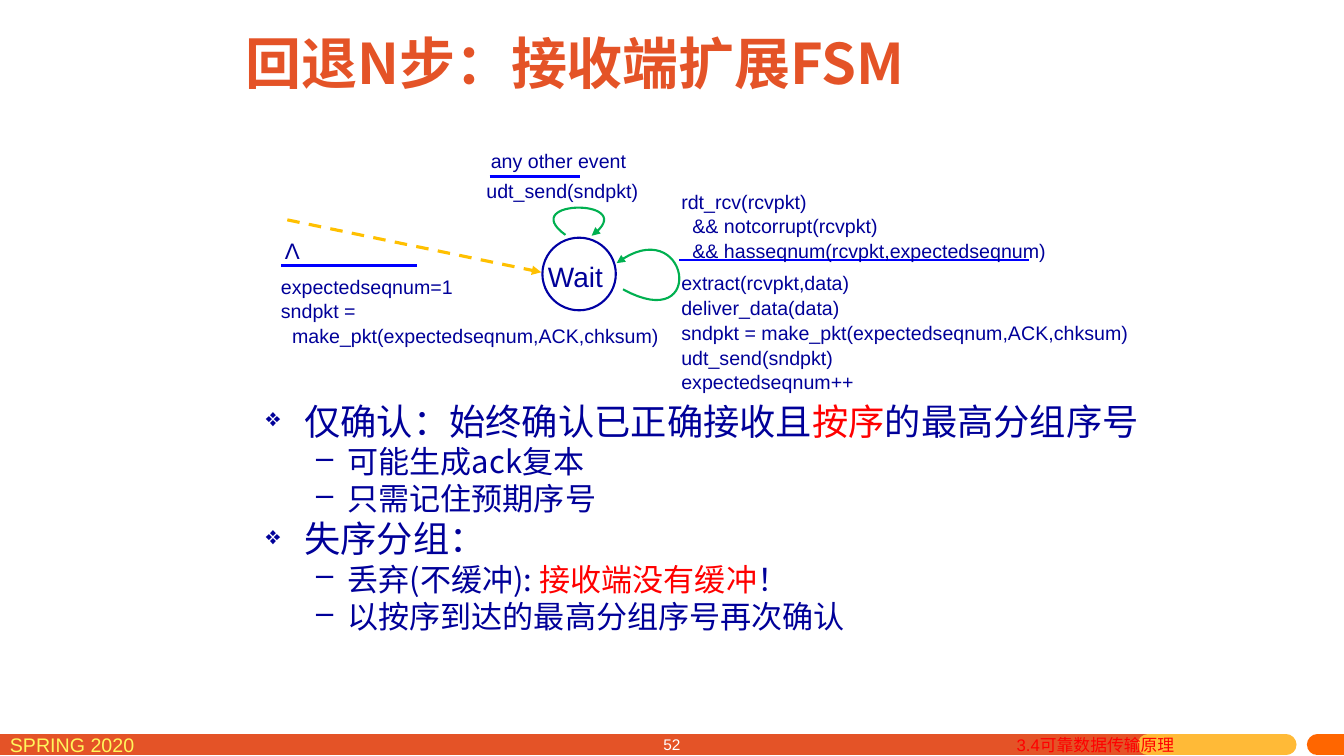
from dataclasses import dataclass

import pptx
import pptx.dml.color
import pptx.enum.dml
import pptx.enum.shapes
import pptx.enum.text
import pptx.oxml
import pptx.oxml.ns
import pptx.util
from lxml import etree

Cm, Pt = pptx.util.Cm, pptx.util.Pt
ALIGN = pptx.enum.text.PP_ALIGN
ANCHOR = pptx.enum.text.MSO_ANCHOR
NAVY, RED, ORANGE, BLUE, GREEN = "000099", "FF0000", "E45327", "0000FF", "00B050"
CJK = "Noto Sans CJK SC"
Point = tuple[float, float]


@dataclass
class Label:
    box: tuple[float, float, float, float]
    lines: list[str]
    size: float = 14
    color: str = NAVY
    font: str = "Arial"
    bold: bool = False
    align: ALIGN = ALIGN.LEFT
    anchor: ANCHOR = ANCHOR.TOP
    margins: tuple[float, float, float, float] = (0.25, 0.13, 0.25, 0.13)
    wrap: bool = True
    indented: tuple[int, ...] = ()


@dataclass
class Line:
    start: Point
    end: Point
    color: str = BLUE
    width: float = 2.25
    dashed: bool = False
    arrow: bool = False
    round_cap: bool = False


@dataclass
class Loop:
    start: Point
    control1: Point
    control2: Point
    end: Point


@dataclass
class Bullet:
    level: int
    runs: list[tuple[str, str]]


def rgb(color: str) -> pptx.dml.color.RGBColor:
    return pptx.dml.color.RGBColor.from_string(color)


def add_run(p, text: str, size: float, color: str, font: str, bold: bool = False) -> None:
    r = p.add_run()
    r.text = text
    r.font.size, r.font.name, r.font.bold = Pt(size), font, bold
    r.font.color.rgb = rgb(color)
    ea = etree.SubElement(r.font._element, pptx.oxml.ns.qn("a:ea"))
    ea.set("typeface", CJK)


def add_box(shapes, box: tuple[float, float, float, float]):
    return shapes.add_textbox(*(Cm(v) for v in box)).text_frame


def add_label(shapes, label: Label) -> None:
    tf = add_box(shapes, label.box)
    tf.word_wrap, tf.vertical_anchor = label.wrap, label.anchor
    tf.margin_left, tf.margin_top, tf.margin_right, tf.margin_bottom = map(Cm, label.margins)
    for i, line in enumerate(label.lines):
        p = tf.paragraphs[0] if i == 0 else tf.add_paragraph()
        p.alignment = label.align
        if i in label.indented:
            p._p.get_or_add_pPr().set("marL", str(Cm(0.28)))
        if len(label.lines) > 1:
            p.line_spacing = 1.05
        add_run(p, line, label.size, label.color, label.font, label.bold)


def style_line(sp, color: str, width: float, arrow: bool) -> None:
    sp.line.color.rgb = rgb(color)
    sp.line.width = Pt(width)
    if arrow:
        tail = etree.SubElement(sp.line._get_or_add_ln(), pptx.oxml.ns.qn("a:tailEnd"))
        tail.set("type", "triangle")


def add_line(shapes, line: Line) -> None:
    ends = (Cm(v) for v in line.start + line.end)
    sp = shapes.add_connector(pptx.enum.shapes.MSO_CONNECTOR.STRAIGHT, *ends)
    if line.dashed:
        sp.line.dash_style = pptx.enum.dml.MSO_LINE.DASH
    style_line(sp, line.color, line.width, line.arrow)
    if line.round_cap:
        sp.line._get_or_add_ln().set("cap", "rnd")
    etree.SubElement(sp._element.spPr, pptx.oxml.ns.qn("a:effectLst"))


def add_loop(shapes, loop: Loop, steps: int = 32) -> None:
    points = []
    for i in range(steps + 1):
        t = i / steps
        weights = ((1 - t) ** 3, 3 * t * (1 - t) ** 2, 3 * t * t * (1 - t), t ** 3)
        knots = (loop.start, loop.control1, loop.control2, loop.end)
        points.append(tuple(Cm(sum(w * k[axis] for w, k in zip(weights, knots)))
                            for axis in (0, 1)))
    builder = shapes.build_freeform(*points[0])
    builder.add_line_segments(points[1:], close=False)
    sp = builder.convert_to_shape()
    sp.shadow.inherit = False
    sp.fill.background()
    style_line(sp, GREEN, 1.5, True)


def add_bullets(shapes, box: tuple[float, float, float, float], bullets: list[Bullet]) -> None:
    levels = ((25.9, 0.97, 0.97, "❖", 70), (22.2, 2.06, 0.79, "–", 100))
    tf = add_box(shapes, box)
    tf.word_wrap = True
    for i, bullet in enumerate(bullets):
        size, left, hang, char, percent = levels[bullet.level]
        p = tf.paragraphs[0] if i == 0 else tf.add_paragraph()
        p.level, p.line_spacing = bullet.level, 0.83
        p.space_before = Pt(0.2 * size if i else 0)
        pPr = p._p.get_or_add_pPr()
        pPr.set("marL", str(Cm(left)))
        pPr.set("indent", str(-Cm(hang)))
        for tag, key, value in (("a:buSzPct", "val", str(percent * 1000)),
                                ("a:buChar", "char", char)):
            etree.SubElement(pPr, pptx.oxml.ns.qn(tag)).set(key, value)
        for text, color in bullet.runs:
            add_run(p, text, size, color, CJK)


FOOTER_Y = 18.77
FOOTER = [
    Line((0, FOOTER_Y), (28.93, FOOTER_Y), ORANGE, 15, round_cap=True),
    Line((28.93, FOOTER_Y), (32.41, FOOTER_Y), "FFBA37", 15, round_cap=True),
    Line((33.2, FOOTER_Y), (33.87, FOOTER_Y), "FF6600", 15, round_cap=True),
]
LABELS = [
    Label((0, 18.34, 5.82, 0.79), ["SPRING 2020"], color="FFF65C"),
    Label((10.82, 18.59, 6.58, 0.46), ["52"], 11, "FFFFFF", align=ALIGN.RIGHT,
          anchor=ANCHOR.MIDDLE, margins=(0.25, 0, 0.25, 0.13)),
    Label((25.37, 18.39, 7.65, 0.79), ["3.4可靠数据传输原理"], 12, RED),
    Label((5.46, 0.58, 18.06, 1.96), ["回退N步：接收端扩展FSM"], 40, ORANGE, CJK, True,
          ALIGN.CENTER, ANCHOR.MIDDLE, (0.5, 0.13, 0.5, 0.13)),
    Label((13.56, 6.4, 2.24, 0.94), ["Wait"], 20),
    Label((16.92, 4.62, 9.91, 1.57),
          ["rdt_rcv(rcvpkt)", "&& notcorrupt(rcvpkt)",
           "&& hasseqnum(rcvpkt,expectedseqnum)"], indented=(1, 2)),
    Label((16.92, 6.68, 11.99, 2.39),
          ["extract(rcvpkt,data)", "deliver_data(data)",
           "sndpkt = make_pkt(expectedseqnum,ACK,chksum)",
           "udt_send(sndpkt)", "expectedseqnum++"]),
    Label((12.01, 4.39, 4.5, 0.86), ["udt_send(sndpkt)"]),
    Label((12.12, 3.63, 4.62, 0.69), ["any other event"]),
    Label((6.83, 6.76, 10.11, 2.72),
          ["expectedseqnum=1", "sndpkt =", "make_pkt(expectedseqnum,ACK,chksum)"],
          indented=(2,)),
    Label((6.93, 5.84, 0.89, 0.94), ["Λ"], 16, wrap=False),
]
FSM_LINES = [
    Line((7.24, 5.54), (13.64, 6.86), "FFC000", dashed=True, arrow=True),
    Line((17.12, 6.55), (25.93, 6.55), width=1.5),
    Line((12.34, 4.45), (14.61, 4.45)),
    Line((7.09, 6.68), (10.52, 6.68)),
]
LOOPS = [
    Loop((15.7, 7.29), (17.86, 8.48), (17.35, 5.28), (15.54, 6.63)),
    Loop((14.25, 5.92), (12.98, 5), (16.21, 5), (14.91, 5.94)),
]
BULLETS = [
    Bullet(0, [("仅确认：始终确认已正确接收且", NAVY), ("按序", RED), ("的最高分组序号", NAVY)]),
    Bullet(1, [("可能生成ack复本", NAVY)]),
    Bullet(1, [("只需记住预期序号", NAVY)]),
    Bullet(0, [("失序分组：", NAVY)]),
    Bullet(1, [("丢弃(不缓冲): ", NAVY), ("接收端没有缓冲", RED), ("！", NAVY)]),
    Bullet(1, [("以按序到达的最高分组序号再次确认", NAVY)]),
]


def main() -> None:
    prs = pptx.Presentation()
    prs.slide_width, prs.slide_height = Cm(33.87), Cm(19.05)
    shapes = prs.slides.add_slide(prs.slide_layouts[6]).shapes

    # Footer bar and state circle
    for line in FOOTER:
        add_line(shapes, line)
    state = shapes.add_shape(pptx.enum.shapes.MSO_SHAPE.OVAL,
                             Cm(13.67), Cm(5.99), Cm(1.85), Cm(1.83))
    state.shadow.inherit = False
    state.fill.solid()
    state.fill.fore_color.rgb = rgb("FFFFFF")
    style_line(state, "0000A3", 1.5, False)

    # Transitions, labels and notes on behaviour
    for line in FSM_LINES:
        add_line(shapes, line)
    for loop in LOOPS:
        add_loop(shapes, loop)
    for label in LABELS:
        add_label(shapes, label)
    add_bullets(shapes, (6.45, 10.11, 22.63, 7.92), BULLETS)
    prs.save("out.pptx")


if __name__ == "__main__":
    main()
